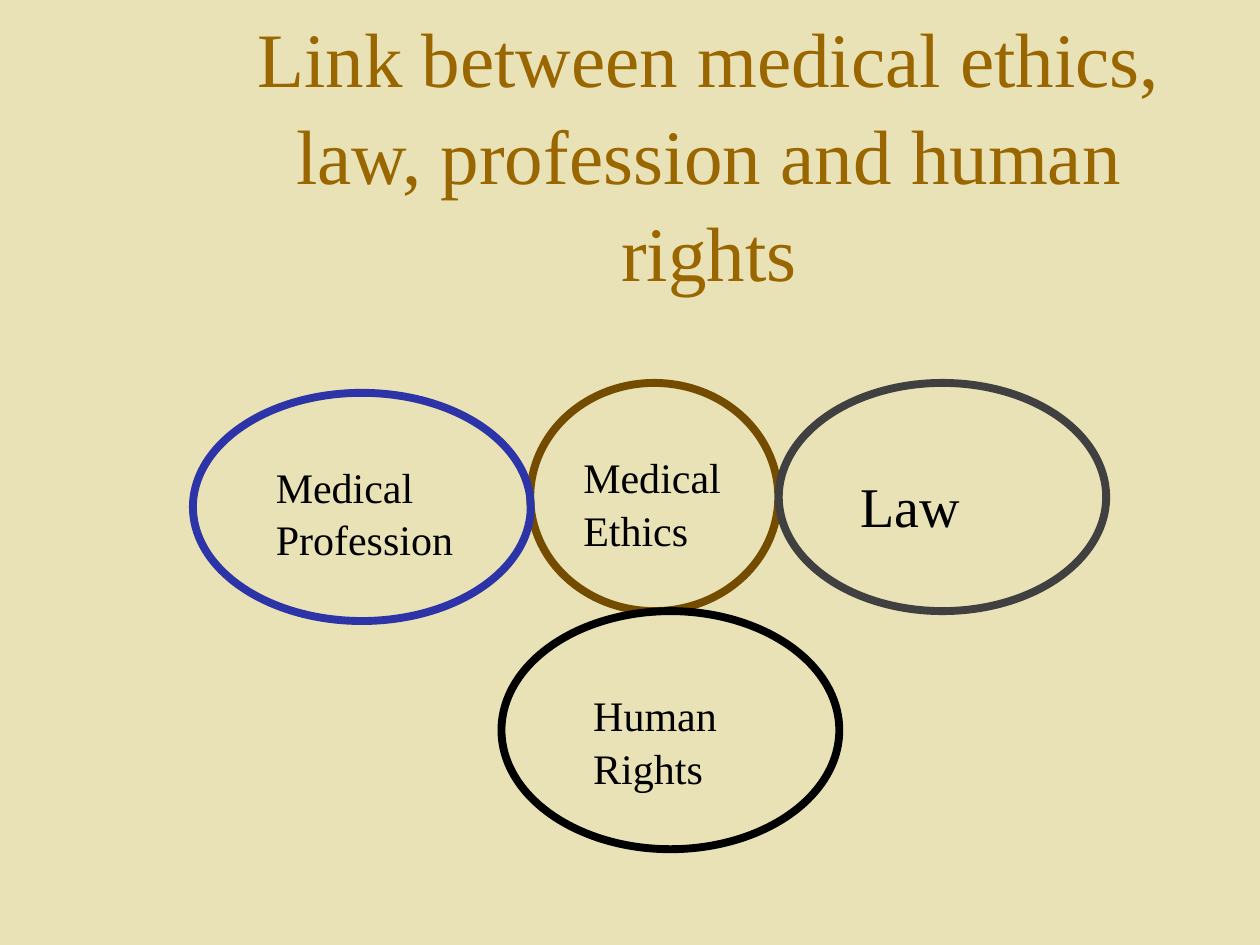
"""Build a slide that links medical ethics to law, profession and human rights."""
from pptx import Presentation
from pptx import util as u
from pptx.dml.color import RGBColor
from pptx.enum import shapes, text

FONT = "Times New Roman"
BACKGROUND = "E9E2B6"
TITLE_COLOUR = "996600"
TEXT_COLOUR = "000000"

# left, top, width, height in cm, then line colour
ELLIPSES = [
    (10.69, 7.72, 5, 4.6, "734C00"),
    (10.11, 12.32, 6.81, 4.8, "000000"),
    (3.89, 7.92, 6.81, 4.6, "2D34A8"),
    (15.7, 7.72, 6.6, 4.6, "404040"),
]

# wording, left, top, width, height in cm, then size in points
LABELS = [
    ("Medical Ethics", 11.51, 8.92, 4.6, 2.31, 24),
    ("Law", 17.09, 9.32, 5, 1.63, 32),
    ("Human Rights", 11.71, 13.72, 4.4, 2.31, 24),
    ("Medical Profession", 5.31, 9.12, 4.6, 2.31, 24),
]


def colour(value):
    """Return the colour for a hex string."""
    return RGBColor.from_string(value)


def box(*lengths):
    """Return the given centimetre values as lengths."""
    return [u.Cm(length) for length in lengths]


def write(shape, wording, size, font_colour, alignment):
    """Put one wrapped paragraph into a shape."""
    frame = shape.text_frame
    frame.word_wrap = True
    frame.text = wording
    paragraph = frame.paragraphs[0]
    paragraph.alignment = alignment
    paragraph.line_spacing = 1.05
    paragraph.space_before = u.Pt(0)
    paragraph.font.name = FONT
    paragraph.font.size = u.Pt(size)
    paragraph.font.color.rgb = colour(font_colour)


def set_title(slide, wording):
    """Place and format the title placeholder."""
    title = slide.shapes.title
    title.left, title.top, title.width, title.height = box(3.81, 1.47, 20.96, 3.18)
    write(title, wording, 44, TITLE_COLOUR, text.PP_ALIGN.CENTER)
    title.text_frame.vertical_anchor = text.MSO_ANCHOR.MIDDLE
    title.text_frame.auto_size = text.MSO_AUTO_SIZE.NONE


def add_ellipse(slide, left, top, width, height, line_colour):
    """Add an unfilled ellipse with a thick outline."""
    shape = slide.shapes.add_shape(
        shapes.MSO_SHAPE.OVAL, *box(left, top, width, height))
    shape.shadow.inherit = False
    shape.fill.background()
    shape.line.color.rgb = colour(line_colour)
    shape.line.width = u.Pt(4.5)


def add_label(slide, wording, left, top, width, height, size):
    """Add a left-aligned text label."""
    shape = slide.shapes.add_textbox(*box(left, top, width, height))
    write(shape, wording, size, TEXT_COLOUR, text.PP_ALIGN.LEFT)
    shape.text_frame.auto_size = text.MSO_AUTO_SIZE.SHAPE_TO_FIT_TEXT


def main():
    """Build and save the presentation."""
    presentation = Presentation()
    presentation.slide_width, presentation.slide_height = box(25.4, 19.05)
    slide = presentation.slides.add_slide(presentation.slide_layouts[5])
    slide.background.fill.solid()
    slide.background.fill.fore_color.rgb = colour(BACKGROUND)
    set_title(slide, "Link between medical ethics, law, profession and human rights")
    for ellipse in ELLIPSES:
        add_ellipse(slide, *ellipse)
    for label in LABELS:
        add_label(slide, *label)
    presentation.save("out.pptx")


if __name__ == "__main__":
    main()
